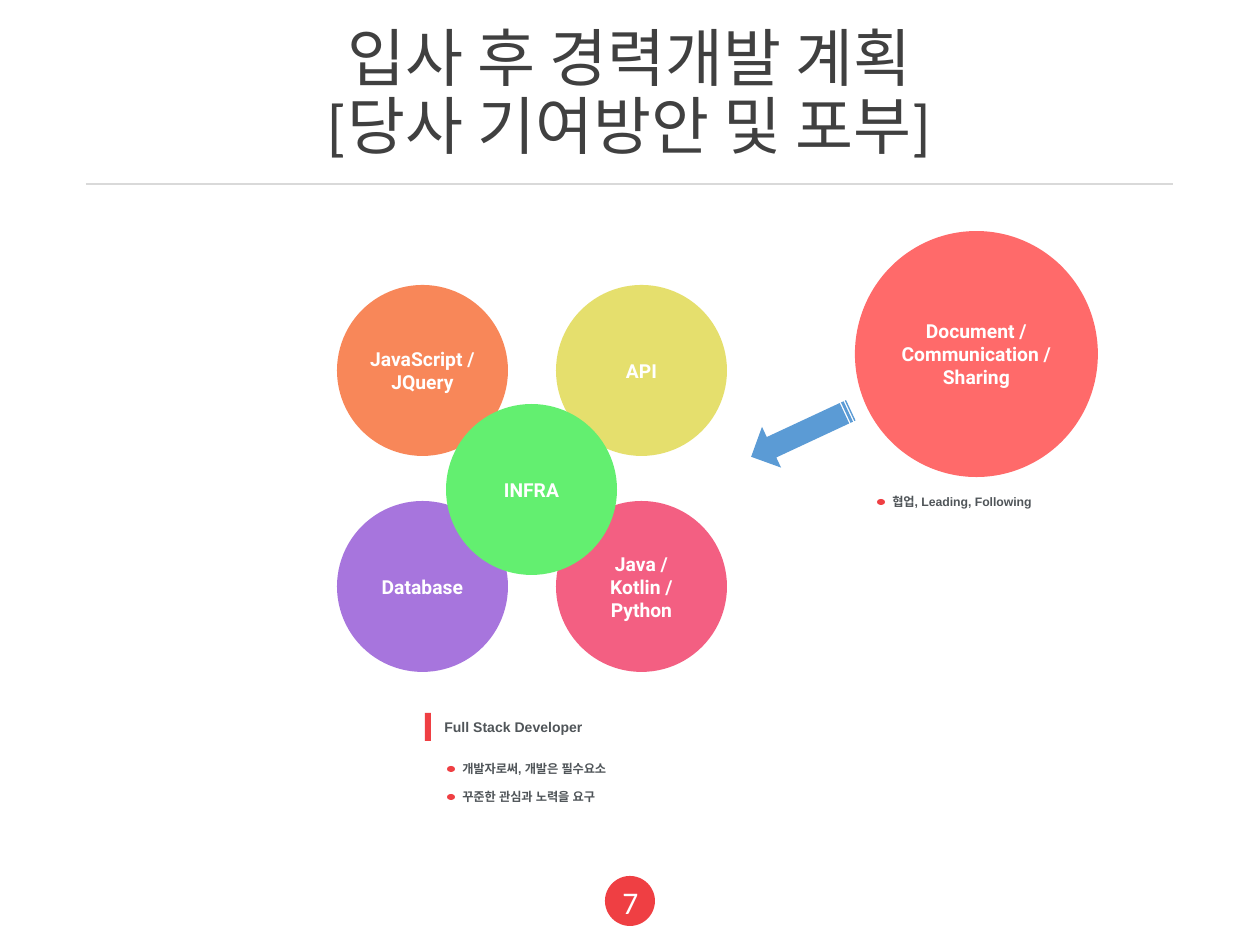
from pptx import Presentation
from pptx.dml.color import RGBColor as Rgb
from pptx.enum.shapes import MSO_CONNECTOR as Link, MSO_SHAPE as Form
from pptx.enum.text import MSO_ANCHOR as Anchor, PP_ALIGN as Align
from pptx.oxml.ns import qn
from pptx.util import Pt
from lxml.etree import SubElement as Sub

PX = 914400 // 126
INK = {
    "title": "404040", "body": "505559", "white": "FFFFFF", "rule": "D9D9D9",
    "red": "EF3F43", "orange": "F88759", "coral": "FF5050", "purple": "A775DD",
    "pink": "F35F82", "yellow": "E5DF6D", "green": "63EF70", "blue": "5B9BD5",
}


def write(frame, text, size, color, font="Arial", bold=False, align=Align.LEFT,
          pad=None, wrap=True, lead=None):
    frame.word_wrap = wrap
    frame.vertical_anchor = Anchor.MIDDLE
    if pad is not None:
        frame.margin_left = frame.margin_right = pad * PX
        frame.margin_top = frame.margin_bottom = pad * PX
    frame.text = text
    para = frame.paragraphs[0]
    para.alignment = align
    if lead:
        para.line_spacing = lead
    for run in para.runs:
        run.font.size = Pt(size)
        run.font.name = font
        run.font.bold = bold
        run.font.color.rgb = Rgb.from_string(INK[color])
        east = Sub(run.font._element, qn("a:ea"))
        east.set("typeface", font)


class Deck:
    def __init__(self, wide, high):
        self.show = Presentation()
        self.show.slide_width, self.show.slide_height = wide * PX, high * PX
        self.slide = self.show.slides.add_slide(self.show.slide_layouts[6])

    def shape(self, form, box, color, turn=0, alpha=None):
        item = self.slide.shapes.add_shape(form, *(n * PX for n in box))
        item.shadow.inherit = False
        item.fill.solid()
        item.fill.fore_color.rgb = Rgb.from_string(INK[color])
        item.line.fill.background()
        item.rotation = turn
        if alpha:
            tone = item._element.spPr.find(".//" + qn("a:srgbClr"))
            Sub(tone, qn("a:alpha")).set("val", str(alpha * 1000))
        return item

    def text(self, box, text, size, color, **style):
        item = self.slide.shapes.add_textbox(*(n * PX for n in box))
        write(item.text_frame, text, size, color, **style)

    def rule(self, x1, y1, x2, y2, color, width):
        line = self.slide.shapes.add_connector(
            Link.STRAIGHT, x1 * PX, y1 * PX, x2 * PX, y2 * PX)
        line.line.color.rgb = Rgb.from_string(INK[color])
        line.line.width = Pt(width)
        Sub(line._element.spPr, qn("a:effectLst"))

    def skill(self, box, text, color, alpha=None):
        disc = self.shape(Form.OVAL, box, color, alpha=alpha)
        write(disc.text_frame, text, 11, "white", font="Roboto", bold=True,
              align=Align.CENTER, pad=7)

    def point(self, x, y, text):
        self.text((x + 3, y - 14, 184, 28), text, 7, "body", bold=True)
        self.shape(Form.OVAL, (x, y - 3, 8, 6), "red")


deck = Deck(1260, 945)

# Title and page number
deck.rule(86, 184, 1173, 184, "rule", 1.25)
deck.text((86, 50, 1087, 90),
          "입사 후\u00a0경력개발 계획\v[당사 기여방안 및 포부]",
          36, "title", font="Calibri", align=Align.CENTER, lead=0.9)
deck.shape(Form.OVAL, (605, 876, 50, 50), "red")
deck.text((604, 877, 53, 49), "7", 18, "white", font="Calibri",
          align=Align.CENTER, wrap=False)

# Skill discs: four corners, then the centre on top
LEFT, TOP, STEP_X, STEP_Y, SIZE = 337, 285, 219, 216, 171
skills = [
    (0, 0, "JavaScript / JQuery", "orange"),
    (0, 1, "Database", "purple"),
    (1, 1, "Java / Kotlin / Python", "pink"),
    (1, 0, "API", "yellow"),
    (0.5, 0.55, "INFRA", "green"),
]
for col, row, name, color in skills:
    x, y = round(LEFT + col * STEP_X), round(TOP + row * STEP_Y)
    deck.skill((x, y, SIZE, SIZE), name, color)

# Teamwork disc and its arrow
deck.skill((855, 231, 243, 246), "Document / Communication / Sharing",
           "coral", alpha=85)
deck.shape(Form.STRIPED_RIGHT_ARROW, (746, 411, 110, 45), "blue", turn=155)
deck.point(877, 502, "협업, Leading, Following")

# Summary
deck.shape(Form.RECTANGLE, (425, 713, 6, 28), "red")
deck.text((432, 714, 248, 26), "Full Stack Developer", 8, "body", bold=True)
for row, note in enumerate(["개발자로써, 개발은 필수요소", "꾸준한 관심과 노력을 요구"]):
    deck.point(447, 769 + row * 28, note)

deck.show.save("out.pptx")
